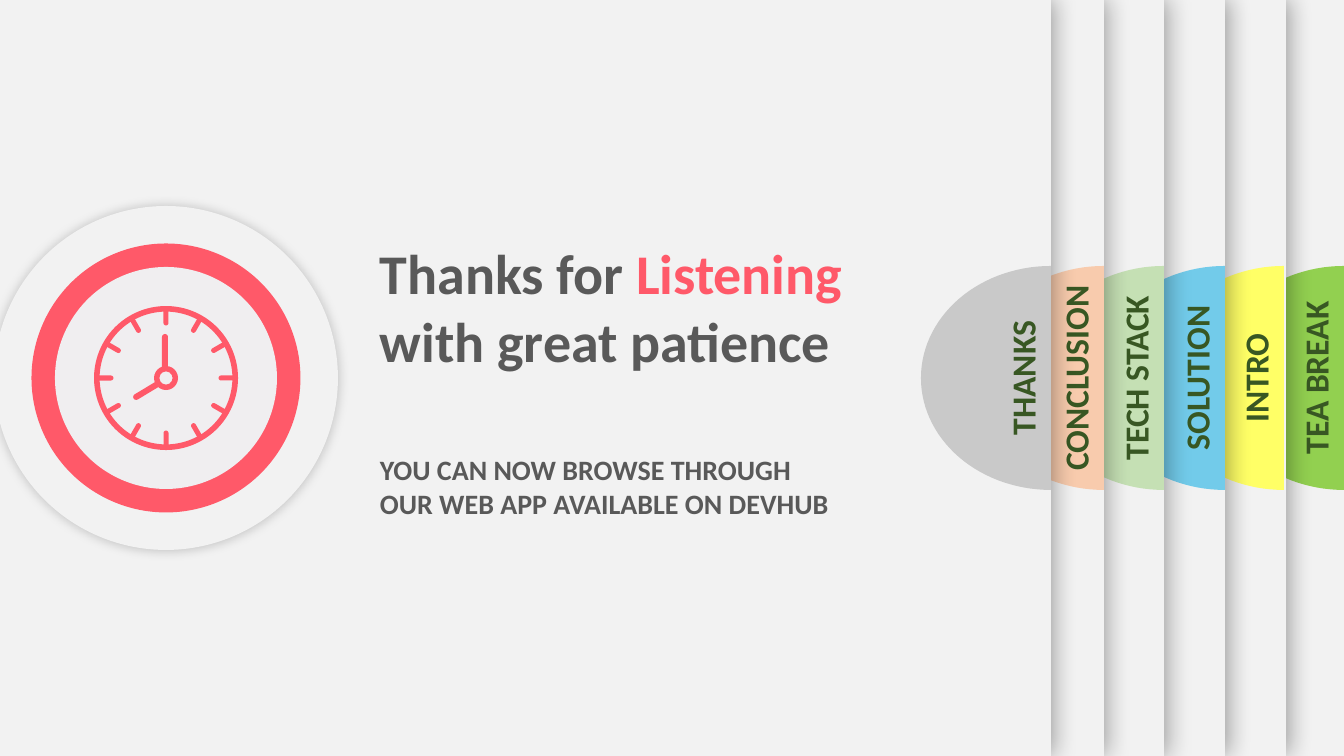
from math import cos, pi, radians, sin

from lxml.etree import SubElement
from pptx import Presentation
from pptx.dml.color import RGBColor
from pptx.enum.shapes import MSO_SHAPE as Preset
from pptx.enum.text import PP_ALIGN as Align
from pptx.oxml.ns import qn
from pptx.util import Emu, Pt

SLIDE_W, SLIDE_H = 1344, 756
EMU_PER_PX = 12192000 / SLIDE_W
FONT = "Calibri"

PAPER = RGBColor(0xF2, 0xF2, 0xF2)
CORAL = RGBColor(0xFF, 0x59, 0x69)
DIAL = RGBColor(0xF0, 0xEE, 0xF0)
GREY = RGBColor(0x59, 0x59, 0x59)
DARK_GREEN = RGBColor(0x38, 0x57, 0x23)
GREEN = RGBColor(0x92, 0xD0, 0x50)
YELLOW = RGBColor(0xFF, 0xFF, 0x66)
BLUE = RGBColor(0x72, 0xCB, 0xEA)
MINT = RGBColor(0xC5, 0xE0, 0xB4)
PEACH = RGBColor(0xF8, 0xCB, 0xAD)
SILVER = RGBColor(0xC9, 0xC9, 0xC9)

# label, tab colour, right edge of the panel, right edge of the tab
PANELS = [
    ("TEA BREAK", GREEN, 1345, 1344),
    ("INTRO", YELLOW, 1286, 1284),
    ("SOLUTION", BLUE, 1225, 1225),
    ("TECH STACK", MINT, 1164, 1164),
    ("CONCLUSION", PEACH, 1104, 1104),
    ("THANKS", SILVER, 1051, 1051),
]
HEADLINE = [("Thanks for ", GREY), ("Listening ", CORAL), ("with great patience", GREY)]
INVITATION = [("YOU CAN NOW BROWSE THROUGH OUR WEB APP AVAILABLE ON DEVHUB", GREY)]

PANEL_W = 1561
TAB_W, TAB_H = 130, 224
LABEL_W, LABEL_H, LABEL_INSET = 287, 50, 29
MIDDLE_Y = SLIDE_H // 2
CLOCK_X = 166
DISCS = [(344, PAPER), (269, CORAL), (222, DIAL)]
RINGS = [(144, 0.039), (24, 0.226)]  # diameter, relative thickness
HANDS = [(146, 391, 29, 239), (165, 351, 34, 0)]  # centre, length, rotation
HAND_W = 6
TICKS, TICK_W, TICK_LENGTH, TICK_RADIUS = 12, 5, 17, 61


def px(length):
    return Emu(round(length * EMU_PER_PX))


def paint(shape, colour):
    shape.shadow.inherit = False
    shape.fill.solid()
    shape.fill.fore_color.rgb = colour
    shape.line.fill.background()


def add_centred(preset, x, y, width, height, colour, rotation=0, adjustments=()):
    shape = slide.shapes.add_shape(
        preset, px(x - width / 2), px(y - height / 2), px(width), px(height))
    paint(shape, colour)
    shape.rotation = rotation
    for index, value in enumerate(adjustments):
        shape.adjustments[index] = value
    return shape


def cast_shadow(shape, opacity, blur, distance):
    """Add a soft black shadow; opacity in percent, lengths in points."""
    effects = shape.element.spPr.find(qn("a:effectLst"))
    shadow = SubElement(effects, qn("a:outerShdw"), blurRad=str(Pt(blur)),
                        dist=str(Pt(distance)), dir="0", algn="ctr", rotWithShape="0")
    black = SubElement(shadow, qn("a:srgbClr"), val="000000")
    SubElement(black, qn("a:alpha"), val=str(opacity * 1000))


def add_text(x, y, width, height, runs, size, align=Align.LEFT):
    box = slide.shapes.add_textbox(px(x), px(y), px(width), px(height))
    box.text_frame.word_wrap = True
    paragraph = box.text_frame.paragraphs[0]
    paragraph.alignment = align
    paragraph.font.name = FONT
    paragraph.font.size = Pt(size)
    paragraph.font.bold = True
    for text, colour in runs:
        run = paragraph.add_run()
        run.text = text
        run.font.color.rgb = colour
    return box


def add_tab(right, colour):
    """Draw the left half of an ellipse that ends at the right edge."""
    steps = 60
    angles = [pi / 2 + pi * step / steps for step in range(steps + 1)]
    outline = [(px(right + TAB_W * cos(angle)), px(MIDDLE_Y + TAB_H / 2 * sin(angle)))
               for angle in angles]
    builder = slide.shapes.build_freeform(*outline[0])
    builder.add_line_segments(outline[1:], close=True)
    paint(builder.convert_to_shape(), colour)


def add_panel(label, colour, panel_right, tab_right):
    panel = add_centred(Preset.RECTANGLE, panel_right - PANEL_W / 2, MIDDLE_Y,
                        PANEL_W, SLIDE_H, PAPER)
    cast_shadow(panel, 35, 17, 3)
    add_tab(tab_right, colour)
    caption = add_text(tab_right - LABEL_INSET - LABEL_W / 2, MIDDLE_Y - LABEL_H / 2,
                       LABEL_W, LABEL_H, [(label, DARK_GREEN)], 24, Align.CENTER)
    caption.rotation = 270


def add_clock():
    discs = [add_centred(Preset.OVAL, CLOCK_X, MIDDLE_Y, diameter, diameter, colour)
             for diameter, colour in DISCS]
    cast_shadow(discs[0], 20, 8, 0)
    for tick in range(TICKS):
        turn = 360 * tick / TICKS
        add_centred(Preset.ROUNDED_RECTANGLE,
                    CLOCK_X + TICK_RADIUS * sin(radians(turn)),
                    MIDDLE_Y - TICK_RADIUS * cos(radians(turn)),
                    TICK_W, TICK_LENGTH, CORAL, turn, [0.5])
    for diameter, thickness in RINGS:
        add_centred(Preset.DONUT, CLOCK_X, MIDDLE_Y, diameter, diameter, CORAL,
                    adjustments=[thickness])
    for x, y, length, turn in HANDS:
        add_centred(Preset.ROUND_2_SAME_RECTANGLE, x, y, HAND_W, length, CORAL,
                    turn, [0.5, 0])


deck = Presentation()
deck.slide_width, deck.slide_height = px(SLIDE_W), px(SLIDE_H)
slide = deck.slides.add_slide(deck.slide_layouts[6])

for panel_content in PANELS:
    add_panel(*panel_content)
add_text(370, 234, 486, 214, HEADLINE, 40)
add_text(370, 448, 486, 78, INVITATION, 20)
add_clock()

deck.save("out.pptx")
